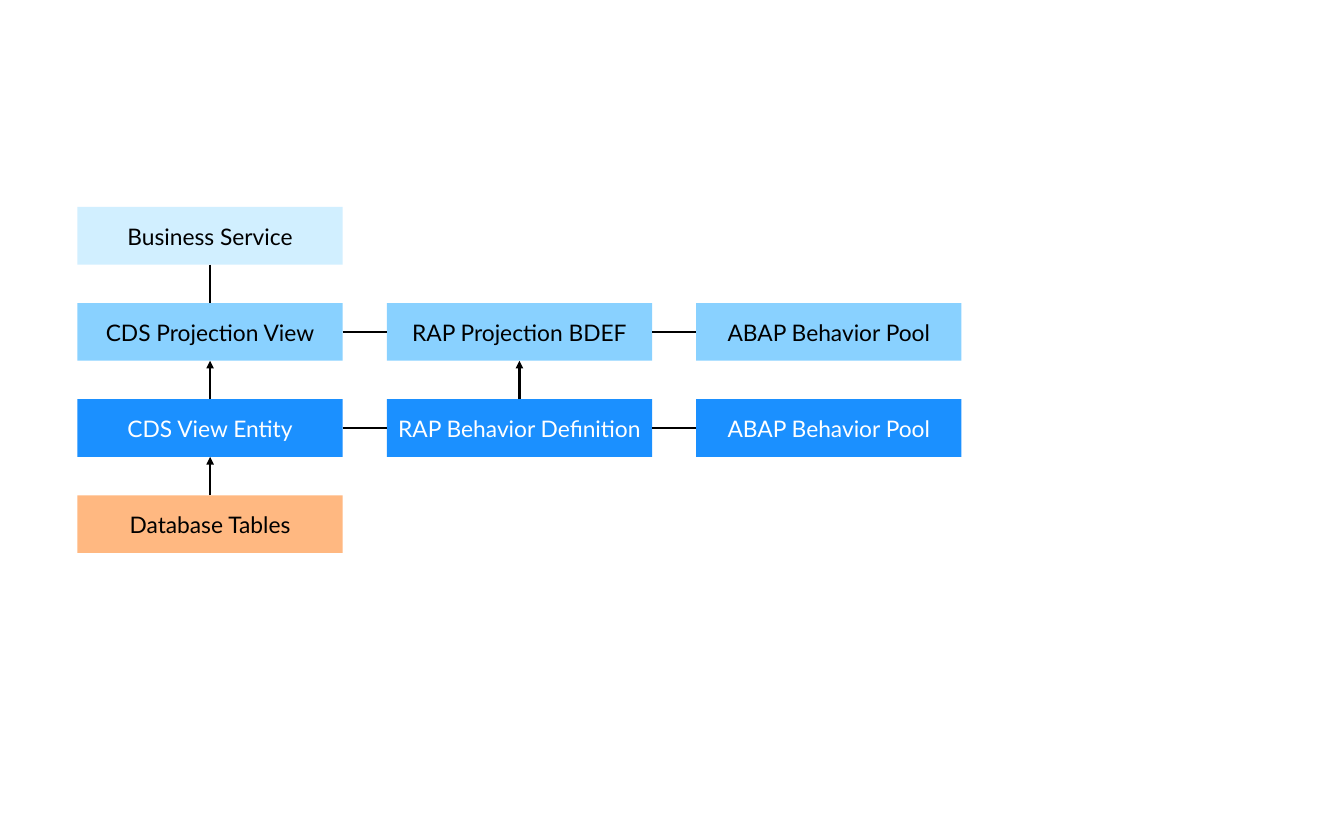
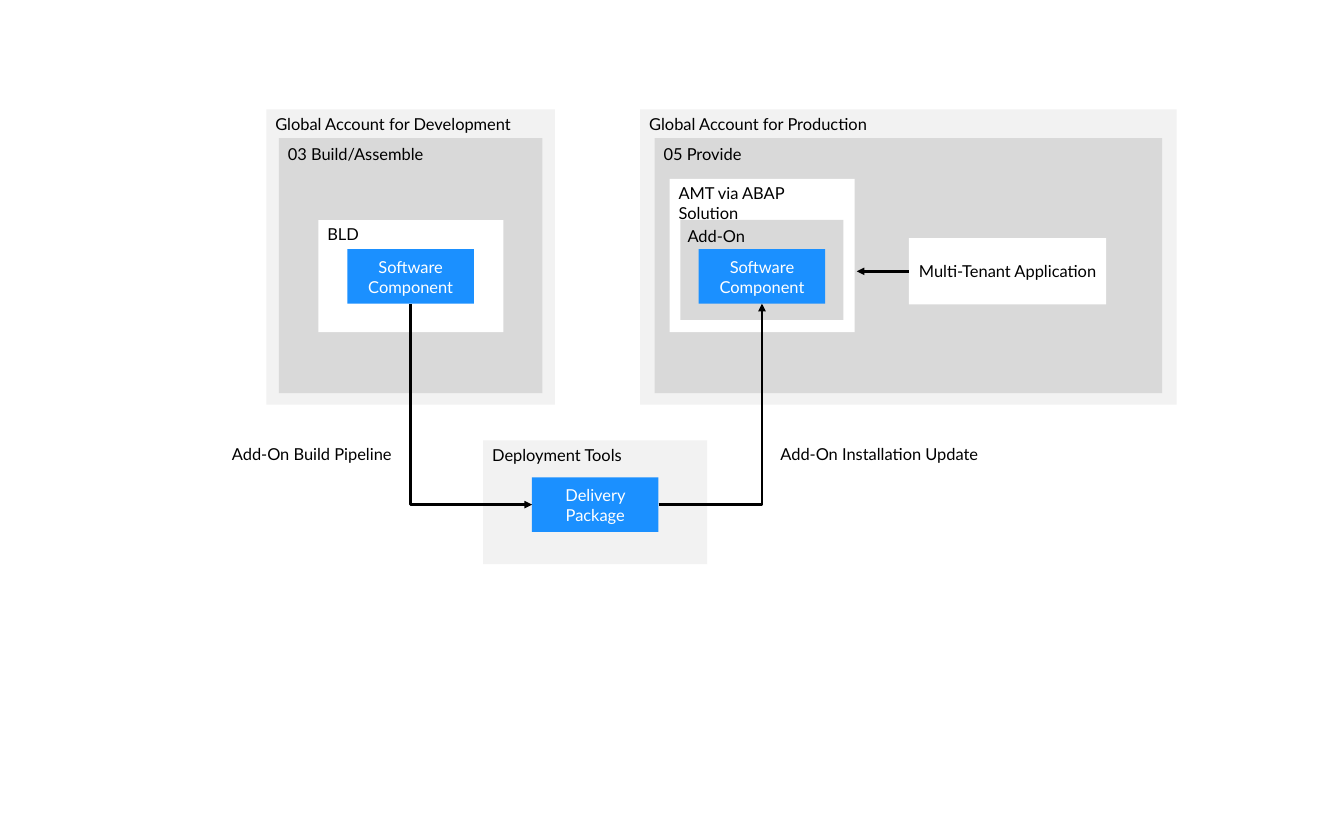
from lxml.etree import SubElement
from pptx import Presentation
from pptx.dml.color import RGBColor
from pptx.enum.shapes import MSO_CONNECTOR, MSO_SHAPE
from pptx.enum.text import MSO_ANCHOR, PP_ALIGN
from pptx.oxml.ns import qn
from pptx.util import Cm, Pt

FONT = "Lato"
BLACK, WHITE = "000000", "FFFFFF"
PALE_BLUE, LIGHT_BLUE, BLUE, ORANGE = "D1EFFF", "89D1FF", "1B90FF", "FFB881"
LIGHT_GREY, GREY = "F2F2F2", "D9D9D9"
TOP, LEFT, BOTTOM, RIGHT = range(4)  # connection sites of a rectangle
COMPONENT_SIZE = (3.53, 1.52)


def color(value):
    return RGBColor.from_string(value)


def write_text(shape, text, text_color, size, centred, inset=(0.25, 0.13)):
    frame = shape.text_frame
    frame_format = {
        "word_wrap": True,
        "vertical_anchor": MSO_ANCHOR.MIDDLE if centred else MSO_ANCHOR.TOP,
        "margin_left": Cm(inset[0]),
        "margin_top": Cm(inset[1]),
    }
    for name, value in frame_format.items():
        setattr(frame, name, value)
    para = frame.paragraphs[0]
    para.alignment = PP_ALIGN.CENTER if centred else PP_ALIGN.LEFT
    span = para.add_run()
    span.text = text
    for name, value in {"name": FONT, "size": Pt(size)}.items():
        setattr(span.font, name, value)
    span.font.color.rgb = color(text_color)


def add_box(page, place, size, fill, text, text_color=BLACK,
            text_size=13, centred=True, **text_format):
    box = page.shapes.add_shape(
        MSO_SHAPE.RECTANGLE, *(Cm(length) for length in (*place, *size)))
    box.shadow.inherit = False
    box.fill.solid()
    box.fill.fore_color.rgb = color(fill)
    box.line.fill.background()
    write_text(box, text, text_color, text_size, centred, **text_format)
    return box


def add_panel(page, place, size, fill, title, **text_format):
    """Add a container with its title in the top left corner."""
    return add_box(page, place, size, fill, title, centred=False, **text_format)


def add_component(page, place, text):
    return add_box(page, place, COMPONENT_SIZE, BLUE, text, WHITE)


def add_label(page, place, width, text):
    box = page.shapes.add_textbox(*(Cm(length) for length in (*place, width, 0.81)))
    write_text(box, text, BLACK, 13, centred=False)


def inside(place, right, down):
    return place[0] + right, place[1] + down


def style_line(connector, arrow):
    connector.line.color.rgb = color(BLACK)
    connector.line.width = Pt(2)
    properties = connector._element.spPr
    if arrow:
        SubElement(properties.find(qn("a:ln")), qn("a:tailEnd"), type="triangle")
    SubElement(properties, qn("a:effectLst"))


def link(page, start, start_site, end, end_site, arrow=True,
         kind=MSO_CONNECTOR.STRAIGHT):
    connector = page.shapes.add_connector(kind, 0, 0, 0, 0)
    connector.begin_connect(start, start_site)
    connector.end_connect(end, end_site)
    style_line(connector, arrow)
    return connector


def link_around_corner(page, start, start_site, end, end_site):
    """Link two boxes by an arrow with a single right-angled bend."""
    connector = link(page, start, start_site, end, end_site, kind=MSO_CONNECTOR.ELBOW)
    properties = connector._element.spPr
    properties.find(qn("a:prstGeom")).set("prst", "bentConnector2")
    if start_site == BOTTOM:  # a downward start needs a quarter turn
        width, height = connector.width, connector.height
        turned = {
            "left": connector.left + (width - height) // 2,
            "top": connector.top + (height - width) // 2,
            "width": height,
            "height": width,
        }
        for name, value in turned.items():
            setattr(connector, name, value)
        frame = properties.find(qn("a:xfrm"))
        frame.set("rot", "16200000")
        frame.set("flipH", "1")


def draw_layers(page, place):
    """Draw the service stack, one row per layer, joined across and upwards."""
    layers = [
        (PALE_BLUE, BLACK, ["Business Service"]),
        (LIGHT_BLUE, BLACK,
         ["CDS Projection View", "RAP Projection BDEF", "ABAP Behavior Pool"]),
        (BLUE, WHITE,
         ["CDS View Entity", "RAP Behavior Definition", "ABAP Behavior Pool"]),
        (ORANGE, BLACK, ["Database Tables"]),
    ]
    rows = [
        [add_box(page, inside(place, column * 8.63, row * 2.68), (7.4, 1.61),
                 fill, name, text_color, text_size=18)
         for column, name in enumerate(names)]
        for row, (fill, text_color, names) in enumerate(layers)
    ]
    for row in rows:
        for left_box, right_box in zip(row, row[1:]):
            link(page, left_box, RIGHT, right_box, LEFT, arrow=False)
    service, projection, entity, database = rows
    link(page, service[0], BOTTOM, projection[0], TOP, arrow=False)
    for lower, upper in [*zip(entity[:2], projection), (database[0], entity[0])]:
        link(page, lower, TOP, upper, BOTTOM)


def draw_account(page, place, width, margin, title, stage_title):
    """Draw an account with its stage and return the place of the stage."""
    add_panel(page, place, (width, 8.23), LIGHT_GREY, title, inset=(0.25, 0.12))
    stage = inside(place, margin, 0.8)
    add_panel(page, stage, (width - 2 * margin, 7.11), GREY, stage_title,
              inset=(0.25, 0.18))
    return stage


def draw_development(page, place):
    stage = draw_account(page, place, 8.05, 0.35, "Global Account for Development",
                         "03 Build/Assemble")
    build = inside(stage, 1.1, 2.29)
    add_panel(page, build, (5.16, 3.12), WHITE, "BLD", inset=(0.25, 0.12))
    return add_component(page, inside(build, 0.81, 0.81), "Software Component")


def draw_production(page, place):
    stage = draw_account(page, place, 14.96, 0.4, "Global Account for Production",
                         "05 Provide")
    solution = inside(stage, 0.42, 1.14)
    add_panel(page, solution, (5.16, 4.27), WHITE, "AMT via ABAP Solution",
              inset=(0.25, 0.12))
    add_on = inside(solution, 0.3, 1.14)
    add_panel(page, add_on, (4.55, 2.79), GREY, "Add-On", inset=(0.2, 0.16))
    component = add_component(page, inside(add_on, 0.51, 0.82), "Software Component")
    application = add_box(page, inside(stage, 7.09, 2.79), (5.51, 1.85), WHITE,
                          "Multi-Tenant Application")
    middle = application.top + application.height // 2
    arrow = page.shapes.add_connector(
        MSO_CONNECTOR.STRAIGHT, application.left, middle,
        application.left - Cm(1.45), middle)
    style_line(arrow, arrow=True)
    return component


def draw_deployment(page, place):
    add_panel(page, place, (6.25, 3.45), LIGHT_GREY, "Deployment Tools")
    return add_component(page, inside(place, 1.36, 1.03), "Delivery Package")


def draw_delivery(page):
    built = draw_development(page, (7.43, 3.05))
    installed = draw_production(page, (17.86, 3.05))
    package = draw_deployment(page, (13.48, 12.28))
    link_around_corner(page, built, BOTTOM, package, LEFT)
    link_around_corner(page, package, RIGHT, installed, BOTTOM)
    add_label(page, (6.22, 12.26), 5.03, "Add-On Build Pipeline")
    add_label(page, (21.52, 12.26), 6.32, "Add-On Installation Update")


def main():
    deck = Presentation()
    deck.slide_width, deck.slide_height = Cm(37.49), Cm(23.42)
    blank = deck.slide_layouts[6]
    draw_layers(deck.slides.add_slide(blank), (2.16, 5.77))
    draw_delivery(deck.slides.add_slide(blank))
    deck.save("out.pptx")


if __name__ == "__main__":
    main()
